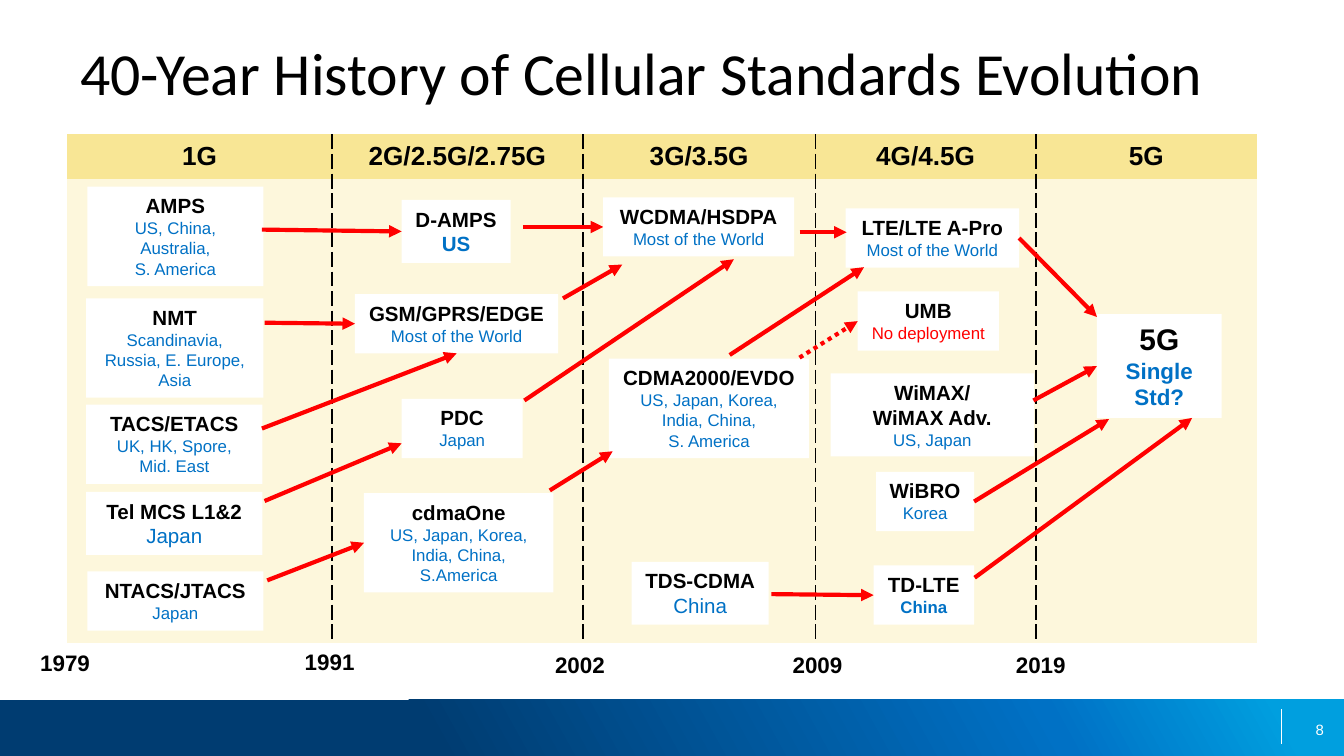
from dataclasses import dataclass, field
from lxml import etree
from pptx import Presentation
from pptx import util as u
from pptx.dml import color
from pptx.enum import dml, shapes, text
from pptx.oxml import ns, parse_xml

Cm, Pt = u.Cm, u.Pt
MID, LEFT, RIGHT = text.PP_ALIGN.CENTER, text.PP_ALIGN.LEFT, text.PP_ALIGN.RIGHT
PLAIN = "{2D5ABB26-0587-4C30-8999-92F81FD0307C}"  # table style without grid


def font(size, bold, tint, name="Arial"):
    return {"size": Pt(size), "bold": bold, "name": name, "tint": tint}


@dataclass
class Theme:
    white: str = "FFFFFF"
    black: str = "000000"
    red: str = "FF0000"
    head: str = "F8E695"
    body: str = "FDF7DC"
    band: tuple = ((0, "003C71"), (32, "003C71"), (78, "0071C5"),
                   (95, "009FDF"), (100, "009FDF"))
    type: dict = field(default_factory=lambda: {
        "title": font(32, False, "000000", "Calibri"),
        "era": font(14, True, "000000"),
        "year": font(12, True, "000000"),
        "page": font(8, False, "FFFFFF"),
        "name": font(11, True, "000000"),
        "goal": font(16, True, "000000"),
        "place": font(9, False, "0071C5"),
        "strong": font(9, True, "0071C5"),
        "wide": font(11, False, "0071C5"),
        "bold": font(11, True, "0071C5"),
        "large": font(12, True, "0071C5"),
        "none": font(9, False, "FF0000"),
    })


T = Theme()

# Era, width of its column
ERAS = [("1G", 5), ("2G/2.5G/2.75G", 4.75), ("3G/3.5G", 4.39),
        ("4G/4.5G", 4.17), ("5G", 4.17)]
YEARS = [("1979", 0.51, 12.14), ("1991", 5.51, 12.12), ("2002", 10.24, 12.19),
         ("2009", 14.73, 12.19), ("2019", 18.95, 12.19)]

# Name, left, top, width, height, places, style of the places
BOXES = [
    ("AMPS", 1.65, 3.53, 3.33, 1.88, "US, China, Australia,\nS. America", "place"),
    ("NMT", 1.63, 5.64, 3.35, 1.88, "Scandinavia, Russia, E. Europe, Asia", "place"),
    ("TACS/ETACS", 1.63, 7.65, 3.33, 1.5, "UK, HK, Spore, Mid. East", "place"),
    ("Tel MCS L1&2", 1.63, 9.3, 3.33, 1.19, "Japan", "wide"),
    ("NTACS/JTACS", 1.65, 10.8, 3.33, 1.12, "Japan", "place"),
    ("D-AMPS", 7.59, 3.78, 2.06, 1.19, "US", "bold"),
    ("GSM/GPRS/EDGE", 6.71, 5.56, 3.84, 1.12, "Most of the World", "place"),
    ("PDC", 7.59, 7.54, 2.29, 1.12, "Japan", "place"),
    ("cdmaOne", 6.88, 9.32, 3.58, 1.88, "US, Japan, Korea, India, China, S.America", "place"),
    ("WCDMA/HSDPA", 11.4, 3.73, 3.61, 1.12, "Most of the World", "place"),
    ("CDMA2000/EVDO", 11.51, 6.78, 3.78, 1.88,
     "US, Japan, Korea, India, China,\nS. America", "place"),
    ("TDS-CDMA", 11.94, 10.62, 2.59, 1.19, "China", "wide"),
    ("LTE/LTE A-Pro", 15.98, 3.94, 3.28, 1.12, "Most of the World", "place"),
    ("UMB", 16.21, 5.51, 2.67, 1.12, "No deployment", "none"),
    ("WiMAX/\nWiMAX Adv.", 15.7, 7.06, 3.84, 1.57, "US, Japan", "place"),
    ("WiBRO", 16.56, 8.92, 1.85, 1.12, "Korea", "place"),
    ("TD-LTE", 16.51, 10.69, 1.9, 1.12, "China", "strong"),
    ("5G", 20.73, 5.94, 2.36, 1.96, "Single Std?", "large"),
]
TIGHT = {"D-AMPS", "GSM/GPRS/EDGE", "TDS-CDMA", "LTE/LTE A-Pro", "UMB", "WiBRO", "TD-LTE"}

# Each end is a point, or a box name with the side it joins
ARROWS = [
    ((4.95, 4.34), ("D-AMPS", 1)),
    ((5, 6.1), ("GSM/GPRS/EDGE", 1)),
    ((4.95, 8.1), ("GSM/GPRS/EDGE", 2)),
    ((5, 9.47), (7.59, 8.38)),
    ((5.05, 10.97), ("cdmaOne", 1)),
    ((9.88, 4.29), ("WCDMA/HSDPA", 1)),
    ((10.64, 5.64), (11.76, 5)),
    ((9.91, 7.57), (13.87, 4.9)),
    ((10.39, 9.27), (11.58, 8.53)),
    ((15.11, 4.39), (16, 4.39)),
    ((13.79, 6.71), (16.33, 5.05)),
    ((14.58, 11.23), ("TD-LTE", 1)),
    (("LTE/LTE A-Pro", 3), (20.73, 5.99)),
    ((19.53, 7.57), ("5G", 1)),
    (("WiBRO", 3), (20.96, 7.92)),
    ((18.42, 10.92), (22.53, 7.9)),
]
DOTTED = ((15.11, 6.76), ("UMB", 1))


def rgb(code):
    return color.RGBColor.from_string(code)


def style(para, kind, align):
    para.alignment = align
    for key, val in T.type[kind].items():
        if key == "tint":
            para.font.color.rgb = rgb(val)
        else:
            setattr(para.font, key, val)


def write(frame, rows, align=MID, **form):
    """Fill a text frame with (line, style) rows."""
    for key, val in form.items():
        setattr(frame, key, val)
    for i, (line, kind) in enumerate(rows):
        para = frame.add_paragraph() if i else frame.paragraphs[0]
        para.text = line
        style(para, kind, align)


def rect(slide, *at):
    shape = slide.shapes.add_shape(shapes.MSO_SHAPE.RECTANGLE, *map(Cm, at))
    shape.shadow.inherit = False
    shape.line.fill.background()
    return shape


def label(slide, at, line, kind, align=LEFT, **form):
    area = slide.shapes.add_textbox(*map(Cm, at))
    write(area.text_frame, [(line, kind)], align, word_wrap=True, **form)


def box(slide, name, x, y, w, h, places, kind):
    shape = rect(slide, x, y, w, h)
    shape.fill.solid()
    shape.fill.fore_color.rgb = rgb(T.white)
    top = "goal" if name == "5G" else "name"
    rows = [(s, top) for s in name.split("\n")]
    rows += [(s, kind) for s in places.split("\n")]
    write(shape.text_frame, rows, word_wrap=name not in TIGHT,
          vertical_anchor=text.MSO_ANCHOR.TOP,
          auto_size=text.MSO_AUTO_SIZE.SHAPE_TO_FIT_TEXT)
    return shape


def line(slide, start, end, tint, width):
    link = slide.shapes.add_connector(
        shapes.MSO_CONNECTOR.STRAIGHT, *map(Cm, (*start, *end)))
    link.line.color.rgb = rgb(tint)
    link.line.width = Pt(width)
    etree.SubElement(link._element.spPr, ns.qn("a:effectLst"))
    return link


def arrow(slide, boxes, start, end):
    spots = [(0, 0) if p[0] in boxes else p for p in (start, end)]
    link = line(slide, *spots, T.red, 2.25)
    for spot, join in ((start, link.begin_connect), (end, link.end_connect)):
        if spot[0] in boxes:
            join(boxes[spot[0]], spot[1])
    etree.SubElement(link.line._get_or_add_ln(), ns.qn("a:tailEnd"), type="triangle")
    return link


def edge(cell, side):
    """Dashed cell border; borders come before the fill."""
    cell._tc.get_or_add_tcPr().insert(0, parse_xml(
        f'<a:{side} {ns.nsdecls("a")} w="12700"><a:solidFill><a:srgbClr val="{T.black}"/>'
        f'</a:solidFill><a:prstDash val="dash"/></a:{side}>'))


def grid(slide):
    table = slide.shapes.add_table(
        2, len(ERAS), Cm(1.27), Cm(2.54), Cm(22.48), Cm(9.6)).table
    table._tbl.tblPr.find(ns.qn("a:tableStyleId")).text = PLAIN
    for row, high in zip(table.rows, (0.84, 8.76)):
        row.height = Cm(high)
    for c, (era, wide) in enumerate(ERAS):
        table.columns[c].width = Cm(wide)
        for r, tint in enumerate((T.head, T.body)):
            cell = table.cell(r, c)
            cell.fill.solid()
            cell.fill.fore_color.rgb = rgb(tint)
            if c < len(ERAS) - 1:
                edge(cell, "lnR")
            if c:
                edge(cell, "lnL")
        top = table.cell(0, c)
        top.vertical_anchor = text.MSO_ANCHOR.MIDDLE
        write(top.text_frame, [(era, "era")])


def footer(slide):
    band = rect(slide, 0, 13.23, 25.4, 1.06)
    band.fill.gradient()
    fill = band._element.spPr.find(ns.qn("a:gradFill"))
    stops = "".join(f'<a:gs pos="{p * 1000}"><a:srgbClr val="{c}"/></a:gs>' for p, c in T.band)
    fill.getparent().replace(fill, parse_xml(
        f'<a:gradFill {ns.nsdecls("a")}><a:gsLst>{stops}</a:gsLst>'
        f'<a:lin ang="{331 * 60000}" scaled="0"/></a:gradFill>'))
    line(slide, (24.22, 13.41), (24.22, 14.07), T.white, 0.75)
    label(slide, (19.1, 13.41, 5.92, 0.76), "8", "page", RIGHT,
          vertical_anchor=text.MSO_ANCHOR.MIDDLE, margin_left=0,
          margin_right=0, margin_top=0, margin_bottom=0)


def heading(slide, words):
    title = slide.shapes.title
    spot = dict(left=1.27, top=0.43, width=22.86, height=1.6)
    for key, val in spot.items():
        setattr(title, key, Cm(val))
    pad = {f"margin_{s}": Cm(0.25) for s in ("left", "right", "top", "bottom")}
    write(title.text_frame, [(words, "title")], LEFT, word_wrap=True,
          auto_size=text.MSO_AUTO_SIZE.NONE, vertical_anchor=text.MSO_ANCHOR.TOP, **pad)


def main():
    deck = Presentation()
    deck.slide_width, deck.slide_height = Cm(25.4), Cm(14.29)
    slide = deck.slides.add_slide(deck.slide_layouts[5])

    # Frame of the slide
    footer(slide)
    heading(slide, "40-Year History of Cellular Standards Evolution")

    # Eras and their starting years
    grid(slide)
    for year, x, y in YEARS:
        label(slide, (x, y, 1.7, 0.76), year, "year")

    # Standards and the paths between them
    boxes = {row[0]: box(slide, *row) for row in BOXES}
    for start, end in ARROWS:
        arrow(slide, boxes, start, end)
    arrow(slide, boxes, *DOTTED).line.dash_style = dml.MSO_LINE.ROUND_DOT

    deck.save("out.pptx")


if __name__ == "__main__":
    main()
